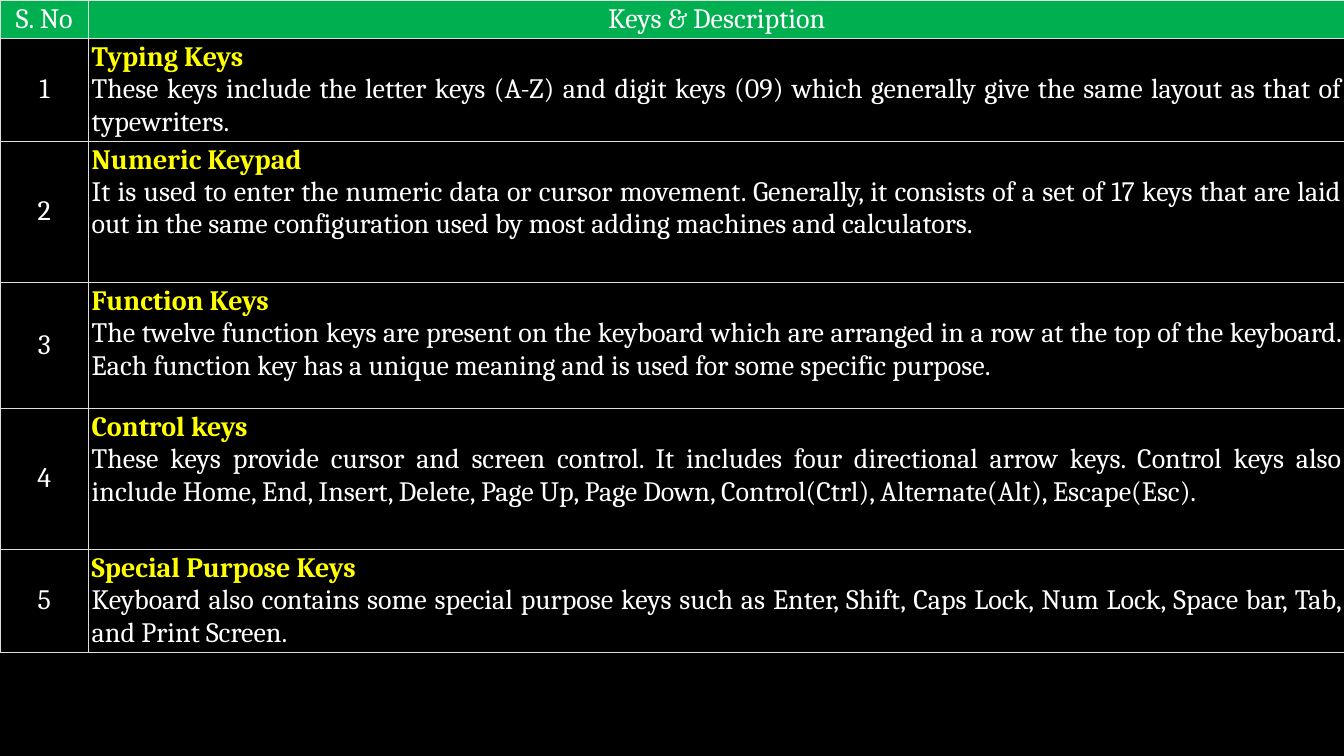
from lxml.etree import SubElement
from pptx import Presentation
from pptx.dml.color import RGBColor
from pptx.enum.text import MSO_ANCHOR as Anchor, PP_ALIGN as Align
from pptx.oxml.ns import qn
from pptx.util import Inches, Pt

WHITE, YELLOW, GREEN, BLACK, GREY = "FFFFFF", "FFFF00", "00B050", "000000", "DDDDDD"
COLUMN_WIDTHS = [0.88, 12.46]
ROW_HEIGHTS = [0.37, 1.01, 1.4, 1.25, 1.4, 1.01]
CELL_MARGINS = dict.fromkeys(
    ["margin_left", "margin_right", "margin_top", "margin_bottom"], Inches(0.03))
KEYS = [
    ("Typing Keys",
     "These keys include the letter keys (A-Z) and digit keys (09) which generally "
     "give the same layout as that of typewriters."),
    ("Numeric Keypad",
     "It is used to enter the numeric data or cursor movement. Generally, it consists "
     "of a set of 17 keys that are laid out in the same configuration used by most "
     "adding machines and calculators."),
    ("Function Keys",
     "The twelve function keys are present on the keyboard which are arranged in a row "
     "at the top of the keyboard. Each function key has a unique meaning and is used "
     "for some specific purpose."),
    ("Control keys",
     "These keys provide cursor and screen control. It includes four directional arrow "
     "keys. Control keys also include Home, End, Insert, Delete, Page Up, Page Down, "
     "Control(Ctrl), Alternate(Alt), Escape(Esc)."),
    ("Special Purpose Keys",
     "Keyboard also contains some special purpose keys such as Enter, Shift, Caps Lock, "
     "Num Lock, Space bar, Tab, and Print Screen."),
]


def color(value):
    return RGBColor.from_string(value)


def fill_cell(cell, lines, alignment, background, anchor=Anchor.TOP):
    for name, value in {**CELL_MARGINS, "vertical_anchor": anchor}.items():
        setattr(cell, name, value)
    properties = cell._tc.get_or_add_tcPr()
    for side in ("a:lnL", "a:lnR", "a:lnT", "a:lnB"):
        border = SubElement(properties, qn(side), w=str(Pt(0.75)))
        SubElement(SubElement(border, qn("a:solidFill")), qn("a:srgbClr"), val=GREY)
    cell.fill.solid()
    cell.fill.fore_color.rgb = color(background)
    for index, (text, text_color, bold) in enumerate(lines):
        frame = cell.text_frame
        paragraph = frame.add_paragraph() if index else frame.paragraphs[0]
        paragraph.alignment = alignment
        run = paragraph.add_run()
        run.text = text
        for name, value in {"name": "Cambria", "size": Pt(20), "bold": bold}.items():
            setattr(run.font, name, value)
        run.font.color.rgb = color(text_color)


presentation = Presentation()
presentation.slide_width = Inches(13.33)
presentation.slide_height = Inches(7.5)
slide = presentation.slides.add_slide(presentation.slide_layouts[6])
slide.background.fill.solid()
slide.background.fill.fore_color.rgb = color(BLACK)

table = slide.shapes.add_table(
    len(ROW_HEIGHTS), len(COLUMN_WIDTHS), Inches(0), Inches(0),
    Inches(sum(COLUMN_WIDTHS)), Inches(sum(ROW_HEIGHTS))).table
table.horz_banding = False
table.first_row = False
for column, width in zip(table.columns, COLUMN_WIDTHS):
    column.width = Inches(width)
for row, height in zip(table.rows, ROW_HEIGHTS):
    row.height = Inches(height)

for index, heading in enumerate(["S. No", "Keys & Description"]):
    fill_cell(table.cell(0, index), [(heading, WHITE, False)], Align.CENTER, GREEN)
for number, (title, description) in enumerate(KEYS, start=1):
    fill_cell(table.cell(number, 0), [(str(number), WHITE, False)],
              Align.CENTER, BLACK, Anchor.MIDDLE)
    fill_cell(table.cell(number, 1),
              [(title, YELLOW, True), (description, WHITE, False)], Align.JUSTIFY, BLACK)

presentation.save("out.pptx")
